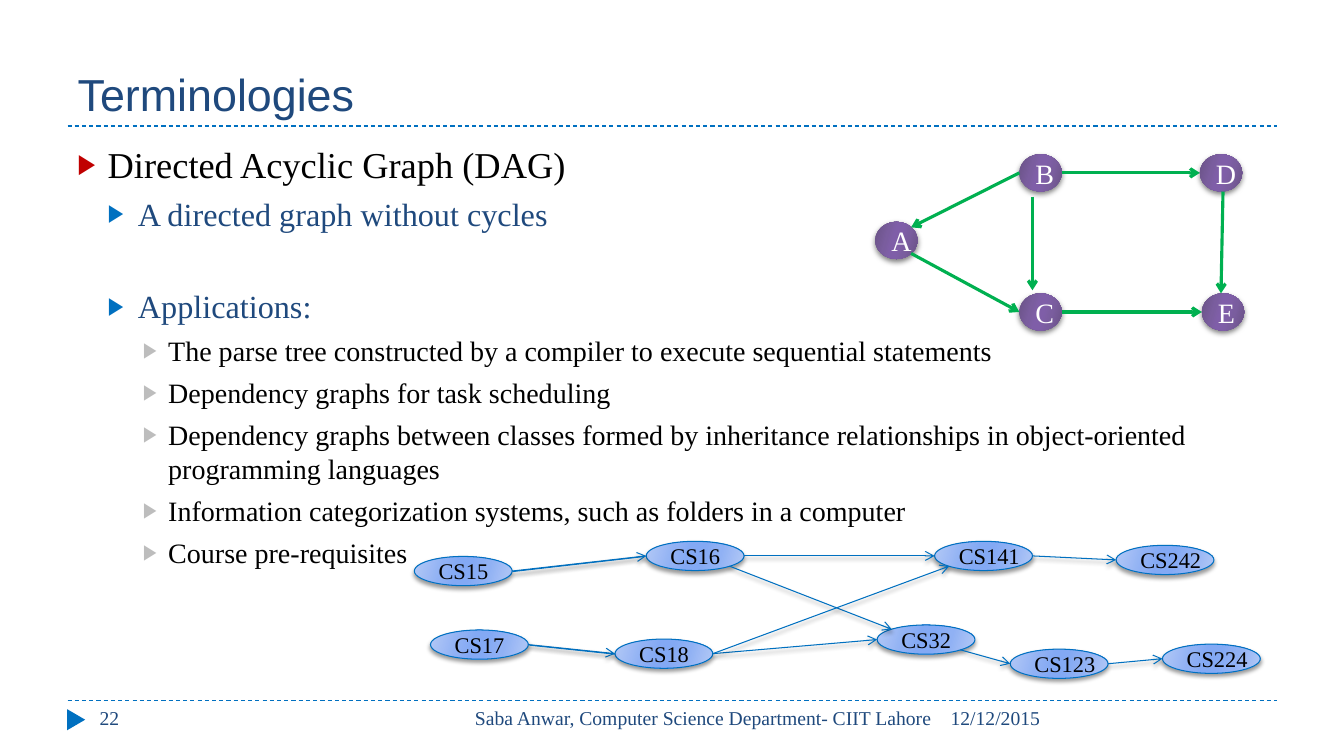
from pptx import Presentation
from pptx.dml.color import RGBColor
from pptx.enum.dml import MSO_LINE
from pptx.enum.shapes import MSO_CONNECTOR, MSO_SHAPE
from pptx.enum.text import MSO_ANCHOR, MSO_AUTO_SIZE, PP_ALIGN
from pptx.oxml import parse_xml
from pptx.oxml.ns import nsdecls, qn
from pptx.util import Inches, Pt

NAVY, BLUE, GREEN, BLACK = "1F497D", "0070C0", "00B050", "000000"
SERIF = "Times New Roman"
NS = nsdecls("a")
NO_EFFECT = f"<a:effectLst {NS}/>"
SHADOW = (f'<a:effectLst {NS}><a:outerShdw blurRad="{{}}" dist="25400" dir="5400000" rotWithShape="0">'
          '<a:srgbClr val="000000"><a:alpha val="{}"/></a:srgbClr></a:outerShdw></a:effectLst>')
COURSE_SHADOW = SHADOW.format(Pt(3), 40000)
VERTEX_SHADOW = SHADOW.format(Pt(4), 50000)


def write(paragraph, text, size, color, font=SERIF, align=PP_ALIGN.LEFT):
    paragraph.alignment = align
    run = paragraph.add_run()
    run.text = text
    run.font.color.rgb = RGBColor.from_string(color)
    for key, value in {"size": Pt(size), "name": font}.items():
        setattr(run.font, key, value)


def draw_line(start, end, color=BLUE, width=0.75, dash=None, arrow=False, effect=NO_EFFECT):
    ends = [Inches(v) for v in (*start, *end)]
    connector = slide.shapes.add_connector(MSO_CONNECTOR.STRAIGHT, *ends)
    connector.line.color.rgb = RGBColor.from_string(color)
    connector.line.width = Pt(width)
    if dash:
        connector.line.dash_style = dash
    if arrow:
        connector.line._get_or_add_ln().append(parse_xml(f'<a:tailEnd {NS} type="arrow"/>'))
    connector._element.spPr.append(parse_xml(effect))


prs = Presentation()
prs.slide_width, prs.slide_height = Inches(13.33), Inches(7.5)
slide = prs.slides.add_slide(prs.slide_layouts[5])

for rule_y in (6.95, 1.25):
    draw_line((0.67, rule_y), (12.67, rule_y), dash=MSO_LINE.DASH)

marker = slide.shapes.add_shape(MSO_SHAPE.ISOSCELES_TRIANGLE, Inches(0.65), Inches(7.05), Inches(0.21), Inches(0.18))
marker.rotation = 90
marker.shadow.inherit = False
marker.fill.solid()
marker.fill.fore_color.rgb = RGBColor.from_string(BLUE)
marker.line.fill.background()

title = slide.shapes.title
for key, value in {"left": 0.67, "top": 0.17, "width": 12, "height": 1.08}.items():
    setattr(title, key, Inches(value))
for key, value in {"vertical_anchor": MSO_ANCHOR.BOTTOM, "auto_size": MSO_AUTO_SIZE.NONE, "word_wrap": True}.items():
    setattr(title.text_frame, key, value)
write(title.text_frame.paragraphs[0], "Terminologies", 32, NAVY, "Arial")

footers = [
    ("12/12/2015", 9.33, 3.34, PP_ALIGN.LEFT),
    ("Saba Anwar, Computer Science Department- CIIT Lahore", 4.23, 5.11, PP_ALIGN.RIGHT),
    ("22", 0.89, 2.89, PP_ALIGN.LEFT),
]
for text, left, width, align in footers:
    footer = slide.shapes.add_textbox(Inches(left), Inches(6.95), Inches(width), Inches(0.4)).text_frame
    footer.word_wrap = True
    write(footer.paragraphs[0], text, 14, NAVY, align=align)

levels = [
    (0.3, 0.3, "C00000", 26, BLACK),
    (0.6, 0.3, BLUE, 23, NAVY),
    (0.9, 0.25, "BDBDBD", 20, BLACK),
]
outline = [
    (0, 0, "Directed Acyclic Graph (DAG)"),
    (1, 6, "A directed graph without cycles"),
    (1, 38.5, "Applications:"),
    (2, 6, "The parse tree constructed by a compiler to execute sequential statements"),
    (2, 6, "Dependency graphs for task scheduling"),
    (2, 6, "Dependency graphs between classes formed by inheritance relationships in object-oriented programming languages"),
    (2, 6, "Information categorization systems, such as folders in a computer"),
    (2, 6, "Course pre-requisites"),
]
body = slide.shapes.add_textbox(Inches(0.67), Inches(1.33), Inches(12), Inches(5.4)).text_frame
body.word_wrap = True
body.margin_top = Inches(0.08)
for row, (level, space, text) in enumerate(outline):
    margin, hanging, bullet_color, size, color = levels[level]
    paragraph = body.add_paragraph() if row else body.paragraphs[0]
    paragraph.level = level
    paragraph.space_before = Pt(space)
    properties = paragraph._p.get_or_add_pPr()
    properties.set("marL", str(Inches(margin)))
    properties.set("indent", str(-Inches(hanging)))
    for bullet in (f'<a:buClr {NS}><a:srgbClr val="{bullet_color}"/></a:buClr>',
                   f'<a:buSzPct {NS} val="76000"/>',
                   f'<a:buFont {NS} typeface="Arial"/>',
                   f'<a:buChar {NS} char="▶"/>'):
        properties.append(parse_xml(bullet))
    write(paragraph, text, size, color)

courses = {
    "CS32": (8.7, 6.2), "CS16": (6.41, 5.37), "CS18": (6.1, 6.34), "CS15": (4.11, 5.52),
    "CS17": (4.27, 6.25), "CS123": (10.02, 6.44), "CS224": (11.53, 6.39),
    "CS141": (9.27, 5.37), "CS242": (11.07, 5.41),
}
vertices = {"A": (8.68, 2.2), "B": (10.11, 1.53), "C": (10.11, 2.91), "D": (11.9, 1.53), "E": (11.92, 2.91)}
course_edges = [
    ("CS15", "right", "CS16", "left"), ("CS16", "lower right", "CS32", "upper left"),
    ("CS17", "right", "CS18", "left"), ("CS18", "right", "CS32", "left"),
    ("CS123", "right", "CS224", "left"), ("CS32", "lower right", "CS123", "left"),
    ("CS18", "right", "CS141", "lower left"), ("CS141", "right", "CS242", "left"),
    ("CS16", "right", "CS141", "left"),
]
vertex_edges = [
    ("B", "left", "A", "upper right"), ("A", "lower right", "C", "left"),
    ("B", "right", "D", "left"), ("C", "right", "E", "left"),
]
ports = {
    "left": (0, 0.5), "right": (1, 0.5), "upper left": (0.15, 0.15), "upper right": (0.85, 0.15),
    "lower left": (0.15, 0.85), "lower right": (0.85, 0.85),
}
graphs = [
    (courses, course_edges, (0.97, 0.29), ("B4C9F6", "90B1F4", "83A9F4"), BLUE, COURSE_SHADOW,
     (16, BLACK), False, PP_ALIGN.LEFT, {"color": BLUE, "width": 0.75, "effect": COURSE_SHADOW}),
    (vertices, vertex_edges, (0.42, 0.37), ("695285", "7A5D9E", "7F5EA8"), None, VERTEX_SHADOW,
     (20, "FFFFFF"), True, PP_ALIGN.CENTER, {"color": GREEN, "width": 2.25}),
]
for nodes, edges, size, (rim, mid, core), border, shadow, label_font, wrap, align, edge_style in graphs:
    stops = zip((0, 30, 45, 55, 73, 100), (rim, mid, core, core, mid, rim))
    stop_xml = "".join(f'<a:gs pos="{pos * 1000}"><a:srgbClr val="{tone}"/></a:gs>' for pos, tone in stops)
    gradient_xml = (f'<a:gradFill {NS} rotWithShape="1"><a:gsLst>{stop_xml}</a:gsLst>'
                    f'<a:lin ang="{16 * 60000}" scaled="0"/></a:gradFill>')
    for label, corner in nodes.items():
        node = slide.shapes.add_shape(MSO_SHAPE.OVAL, *(Inches(v) for v in (*corner, *size)))
        node.fill.gradient()
        properties = node._element.spPr
        properties.replace(properties.find(qn("a:gradFill")), parse_xml(gradient_xml))
        if border:
            node.line.color.rgb = RGBColor.from_string(border)
            node.line.width = Pt(0.75)
        else:
            node.line.fill.background()
        properties.append(parse_xml(shadow))
        node.text_frame.word_wrap = wrap
        node.text_frame.vertical_anchor = MSO_ANCHOR.MIDDLE
        write(node.text_frame.paragraphs[0], label, *label_font, align=align)
    for source, source_port, target, target_port in edges:
        start, end = ([corner + length * share for corner, length, share in zip(nodes[name], size, ports[port])]
                      for name, port in ((source, source_port), (target, target_port)))
        draw_line(start, end, arrow=True, **edge_style)

for start, end in (((10.24, 1.95), (10.24, 2.88)), ((12.13, 1.9), (12.11, 2.91))):
    draw_line(start, end, GREEN, 2.25, arrow=True)
for start, end in (((5.09, 5.67), (6.4, 5.52)), ((5.25, 6.4), (6.1, 6.49))):
    draw_line(start, end, effect=COURSE_SHADOW)

prs.save("out.pptx")
